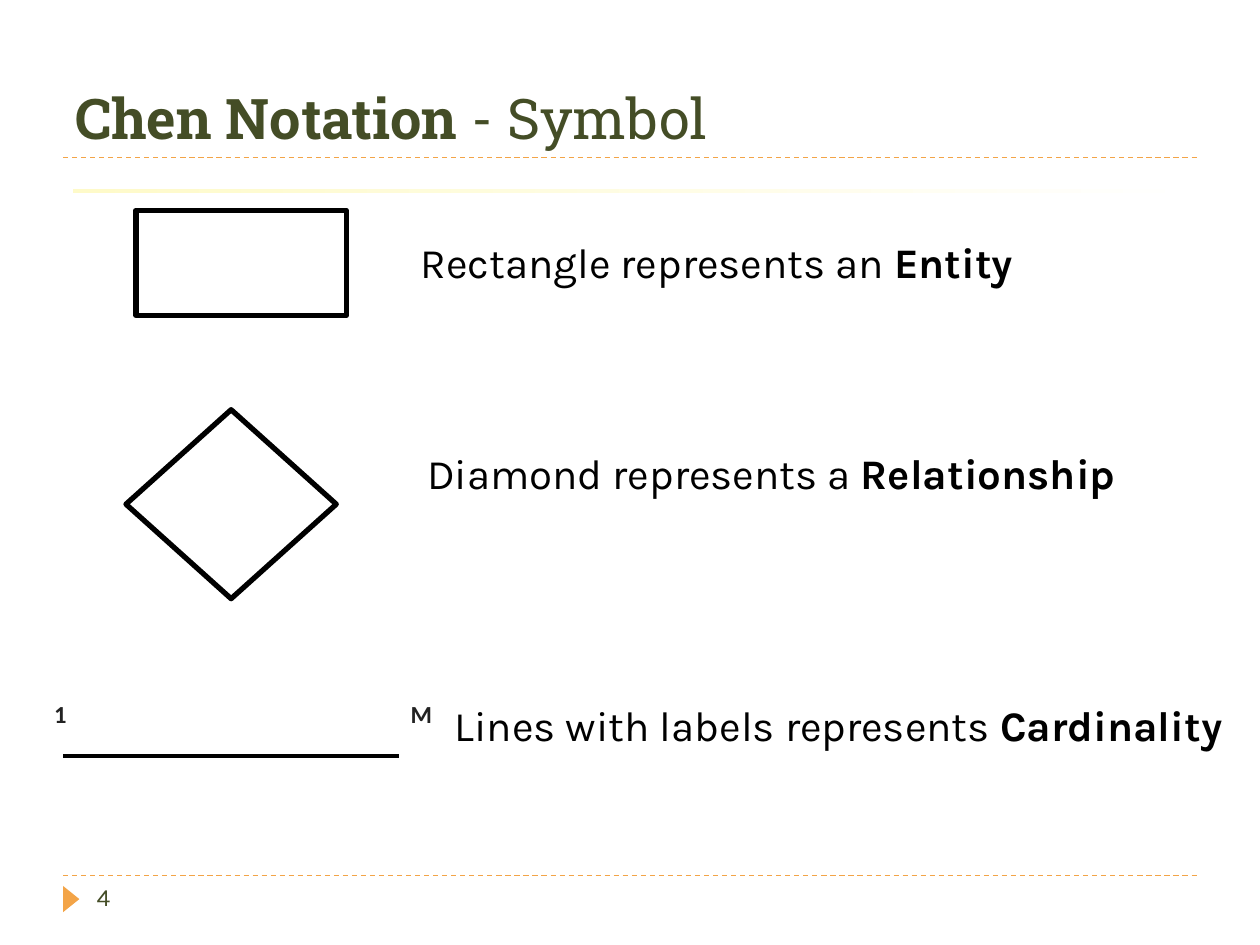
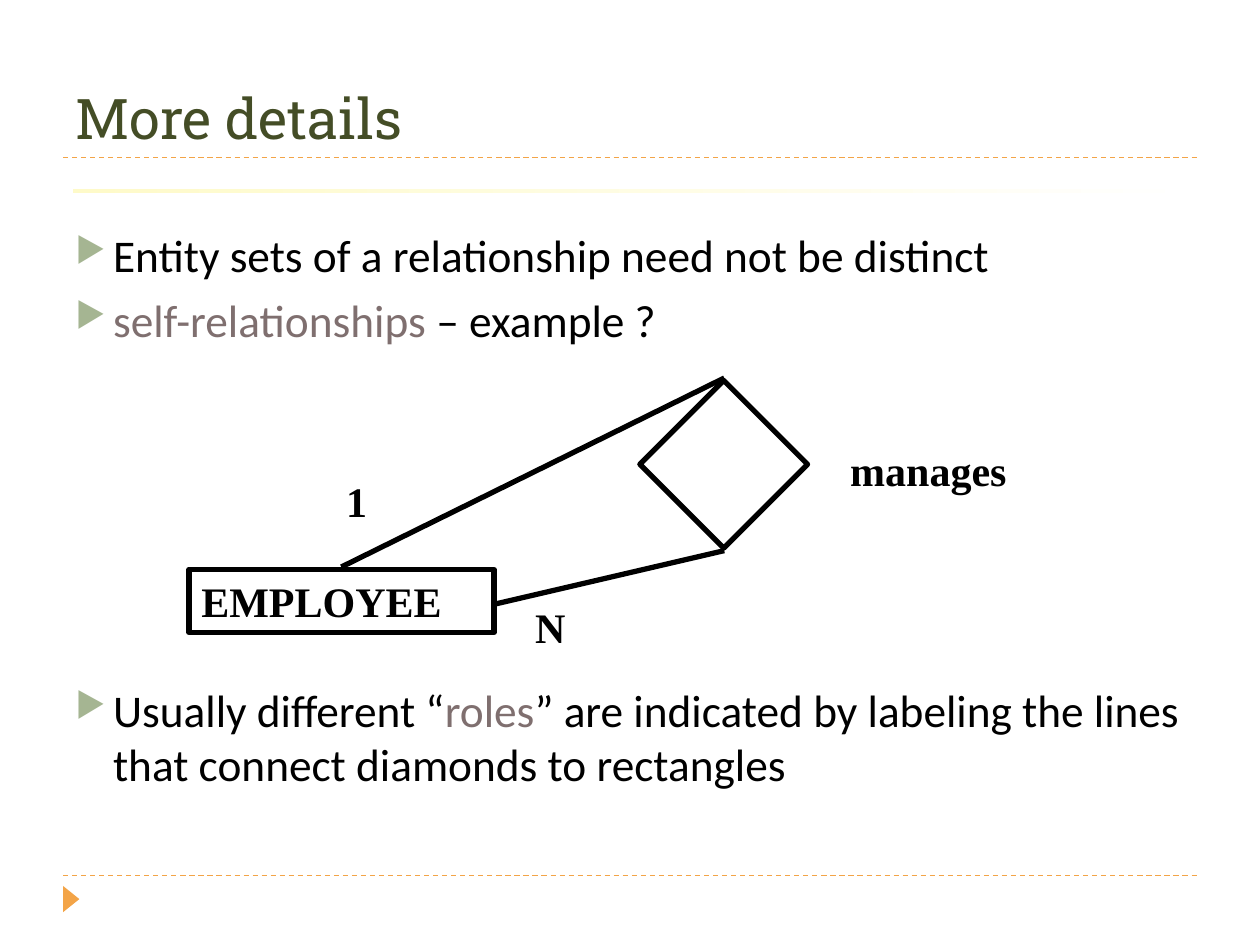
from lxml import etree
from pptx import Presentation
from pptx.dml.color import RGBColor
from pptx.enum.dml import MSO_LINE
from pptx.enum.shapes import MSO_CONNECTOR, MSO_SHAPE
from pptx.enum.text import MSO_ANCHOR, PP_ALIGN
from pptx.oxml.ns import qn
from pptx.util import Cm, Pt

DASH = MSO_LINE.DASH
LINE = MSO_CONNECTOR.STRAIGHT
RECT, DIAMOND = MSO_SHAPE.RECTANGLE, MSO_SHAPE.DIAMOND
ARROW = MSO_SHAPE.ISOSCELES_TRIANGLE
TOP, BOTTOM = MSO_ANCHOR.TOP, MSO_ANCHOR.BOTTOM
LEFT = PP_ALIGN.LEFT

BLACK, GREY, OLIVE = "000000", "222222", "444D26"
ORANGE, SAGE, MAUVE = "F3A447", "A5B592", "7F6F6F"
CREAM, WHITE = "FEFAC9", "FFFFFF"
HEAD, BODY, NOTE, SERIF = "Roboto Slab", "Calibri", "Karla", "Times New Roman"


def rgb(code):
    return RGBColor.from_string(code)


class Deck:
    """Holds the shared style and the slide being drawn; lengths are in cm."""

    def __init__(self):
        self.file = Presentation()
        self.file.slide_width = Cm(25.4)
        self.file.slide_height = Cm(19.05)
        self.slide = None

    def page(self, *title):
        """Start a slide with its rules, bar, marker and title runs."""
        self.slide = self.file.slides.add_slide(self.file.slide_layouts[6])
        for y in (17.65, 3.18):
            self.line(1.27, y, 24.13, y, ORANGE, 0.75, DASH)
        mark = self.shape(ARROW, 1.17, 17.96, 0.53, 0.33, fill=ORANGE)
        mark.rotation = 90
        bar = self.shape(RECT, 1.47, 3.81, 22.86, 0.08)
        bar.fill.gradient()
        bar.fill.gradient_angle = 0
        for stop, code in zip(bar.fill.gradient_stops, (CREAM, WHITE)):
            stop.color.rgb = rgb(code)
        self.text(1.27, 0.43, 22.86, 2.74, title, HEAD, 32, OLIVE,
                  wrap=True, anchor=BOTTOM)

    def line(self, x1, y1, x2, y2, color=BLACK, width=3, dash=None):
        link = self.slide.shapes.add_connector(
            LINE, Cm(x1), Cm(y1), Cm(x2), Cm(y2))
        link.line.color.rgb = rgb(color)
        link.line.width = Pt(width)
        if dash:
            link.line.dash_style = dash
        etree.SubElement(link._element.spPr, qn("a:effectLst"))

    def shape(self, kind, x, y, w, h, fill=None, edge=None):
        item = self.slide.shapes.add_shape(kind, Cm(x), Cm(y), Cm(w), Cm(h))
        item.shadow.inherit = False
        if fill:
            item.fill.solid()
            item.fill.fore_color.rgb = rgb(fill)
        else:
            item.fill.background()
        if edge:
            item.line.color.rgb = rgb(edge)
            item.line.width = Pt(3)
        else:
            item.line.fill.background()
        return item

    def runs(self, para, parts, font, size, color):
        """Add (text, bold, own color or None) parts to a paragraph."""
        para.alignment = LEFT
        for words, bold, own in parts:
            run = para.add_run()
            run.text = words
            run.font.name = font
            run.font.size = Pt(size)
            run.font.bold = bold
            run.font.color.rgb = rgb(own or color)

    def text(self, x, y, w, h, parts, font, size, color=BLACK,
             wrap=False, anchor=TOP):
        box = self.slide.shapes.add_textbox(Cm(x), Cm(y), Cm(w), Cm(h))
        box.text_frame.word_wrap = wrap
        box.text_frame.vertical_anchor = anchor
        self.runs(box.text_frame.paragraphs[0], parts, font, size, color)

    def label(self, x, y, w, words):
        self.text(x, y, w, 1.27, [(words, True, None)], SERIF, 24)

    def entity(self, x, y, w, h, words):
        frame = self.shape(RECT, x, y, w, h, edge=BLACK).text_frame
        frame.vertical_anchor = TOP
        self.runs(frame.paragraphs[0], [(words, True, None)], SERIF, 24, BLACK)

    def bullets(self, x, y, w, h, items):
        """Add a list of (space before in points, parts)."""
        box = self.slide.shapes.add_textbox(Cm(x), Cm(y), Cm(w), Cm(h))
        frame = box.text_frame
        frame.word_wrap = True
        for i, (gap, parts) in enumerate(items):
            para = frame.add_paragraph() if i else frame.paragraphs[0]
            self.runs(para, parts, BODY, 25.9, BLACK)
            para.space_before = Pt(gap)
            props = para._p.get_or_add_pPr()
            props.set("marL", str(Cm(0.76)))
            props.set("indent", str(Cm(-0.76)))
            tint = etree.SubElement(props, qn("a:buClr"))
            etree.SubElement(tint, qn("a:srgbClr"), val=SAGE)
            etree.SubElement(props, qn("a:buSzPct"), val="76000")
            etree.SubElement(props, qn("a:buChar"), char="▶")


def symbols(deck):
    deck.page(("Chen Notation ", True, None), ("- Symbol", False, None))
    deck.text(1.7, 17.65, 5.51, 1.02, [("4", False, None)], NOTE, 14, OLIVE,
              wrap=True)
    deck.shape(RECT, 2.74, 4.24, 4.24, 2.12, edge=BLACK)
    deck.shape(DIAMOND, 2.54, 8.26, 4.24, 3.81, edge=BLACK)
    deck.line(1.27, 15.24, 8.05, 15.24, width=2.25)
    for x, w, mark in ((0.84, 0.79, "1"), (8.03, 0.97, "M")):
        deck.text(x, 13.97, w, 0.86, [(mark, True, None)], BODY, 14, GREY)
    for x, y, w, lead, term in (
            (8.23, 4.65, 12.88, "Rectangle represents an ", "Entity"),
            (8.36, 8.89, 14.88, "Diamond represents a ", "Relationship"),
            (8.92, 13.97, 16.43, "Lines with labels represents ",
             "Cardinality")):
        deck.text(x, y, w, 1.27, [(lead, False, None), (term, True, None)],
                  NOTE, 24)


def details(deck):
    deck.page(("More details", False, None))
    deck.bullets(1.27, 4.45, 22.86, 13.54, [
        (6, [("Entity sets of a relationship need not be distinct",
              False, None)]),
        (6, [("self-relationships", False, MAUVE),
             (" – example ?", False, None)]),
        (192, [("Usually different “", False, None),
               ("roles", False, MAUVE),
               ("” are indicated by labeling the lines that connect "
                "diamonds to rectangles", False, None)])])
    deck.entity(3.81, 11.48, 6.15, 1.27, "EMPLOYEE")
    deck.shape(DIAMOND, 12.9, 7.67, 3.38, 3.38, edge=BLACK)
    deck.label(16.89, 8.84, 3.66, "manages")
    deck.line(6.88, 11.43, 14.6, 7.62)
    deck.line(14.6, 11.1, 10.01, 12.17)
    deck.label(6.73, 9.47, 0.91, "1")
    deck.label(10.54, 12.01, 1.12, "N")


def main():
    deck = Deck()
    symbols(deck)
    details(deck)
    deck.file.save("out.pptx")


if __name__ == "__main__":
    main()
